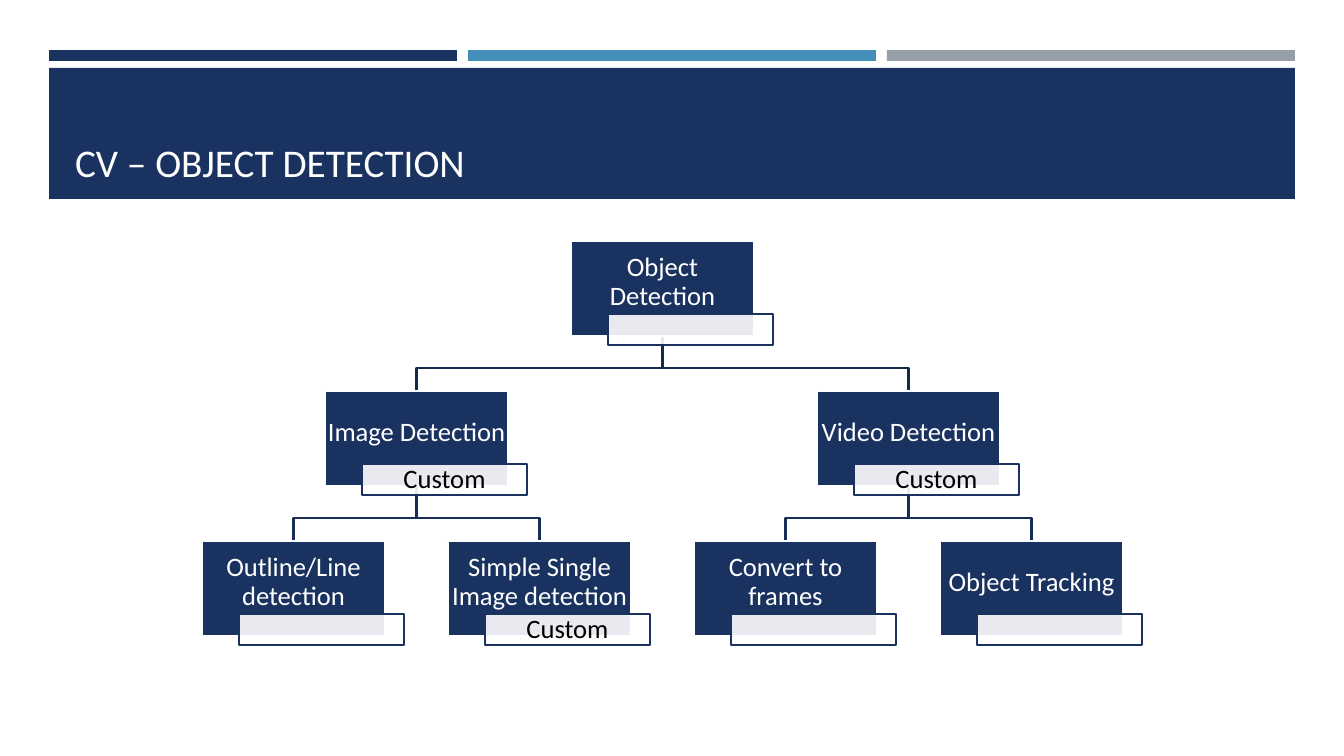
import pptx
import pptx.util
import pptx.dml.color
import pptx.enum.shapes
import pptx.enum.text
import pptx.oxml.ns
from lxml import etree

PX = 914400 / 100.8
NAVY, BLUE, GREY, WHITE, BLACK = "1A3260", "4590B8", "969FA7", "FFFFFF", "000000"
ROOT_LINE, BRANCH_LINE = "15284D", "182D57"
LINE_WIDTH = 1.75

BOX_W, BOX_H = 183, 95
TAG_DX, TAG_DY, TAG_W, TAG_H = 37, 73, 165, 31
LEAF_PITCH, LEVEL_PITCH = 246, 150
ELBOW_DROP = 32

# Each node: name, tag text, children
TREE = ("Object Detection", "", [
    ("Image Detection", "Custom", [
        ("Outline/Line detection", "", []),
        ("Simple Single Image detection", "Custom", []),
    ]),
    ("Video Detection", "Custom", [
        ("Convert to frames", "", []),
        ("Object Tracking", "", []),
    ]),
])


def px(n):
    return pptx.util.Emu(round(n * PX))


def rgb(color):
    return pptx.dml.color.RGBColor.from_string(color)


def add_rect(slide, x, y, w, h, fill, line=None, alpha=None):
    sp = slide.shapes.add_shape(pptx.enum.shapes.MSO_SHAPE.RECTANGLE,
                                px(x), px(y), px(w), px(h))
    sp.shadow.inherit = False
    sp.fill.solid()
    sp.fill.fore_color.rgb = rgb(fill)
    if alpha is not None:
        clr = sp.fill._xPr.find(".//" + pptx.oxml.ns.qn("a:srgbClr"))
        etree.SubElement(clr, pptx.oxml.ns.qn("a:alpha"), val=str(alpha * 1000))
    if line:
        sp.line.color.rgb = rgb(line)
        sp.line.width = pptx.util.Pt(LINE_WIDTH)
    else:
        sp.line.fill.background()
    return sp


def write(sp, text, size, color, anchor, align, insets, spacing=None):
    """Put text in a shape; insets are left, top, right, bottom in px."""
    tf = sp.text_frame
    tf.text = text
    tf.word_wrap = True
    tf.vertical_anchor = anchor
    tf.margin_left, tf.margin_top, tf.margin_right, tf.margin_bottom = map(px, insets)
    p = tf.paragraphs[0]
    p.alignment = align
    if spacing:
        p.line_spacing = spacing
    font = p.runs[0].font
    font.name, font.size = "Calibri", pptx.util.Pt(size)
    font.color.rgb = rgb(color)


def add_header(slide, x, y, w, title):
    bar_w = 408
    pitch = (w - bar_w) // 2
    for i, color in enumerate((NAVY, BLUE, GREY)):
        add_rect(slide, x + i * pitch, y, bar_w, 11, color)
    add_rect(slide, x, y + 18, w, 131, NAVY)
    tb = slide.shapes.add_textbox(px(x + 16), px(y + 28), px(w - 30), px(112))
    write(tb, title, 28, WHITE, pptx.enum.text.MSO_ANCHOR.BOTTOM,
          pptx.enum.text.PP_ALIGN.LEFT, (10, 5, 10, 5))


def add_elbow(slide, x1, y1, x2, y2, color):
    mid = y1 + ELBOW_DROP
    fb = slide.shapes.build_freeform(px(x1), px(y1))
    fb.add_line_segments([(px(x1), px(mid)), (px(x2), px(mid)), (px(x2), px(y2))],
                         close=False)
    sp = fb.convert_to_shape()
    sp.shadow.inherit = False
    sp.fill.background()
    sp.line.color.rgb = rgb(color)
    sp.line.width = pptx.util.Pt(LINE_WIDTH)


def add_node(slide, x, y, name, tag):
    middle = pptx.enum.text.MSO_ANCHOR.MIDDLE
    center = pptx.enum.text.PP_ALIGN.CENTER
    box = add_rect(slide, x, y, BOX_W, BOX_H, NAVY, WHITE)
    write(box, name, 19, WHITE, middle, center, (1, 1, 1, 13), 0.9)
    label = add_rect(slide, x + TAG_DX, y + TAG_DY, TAG_W, TAG_H, WHITE, NAVY, 90)
    if tag:
        write(label, tag, 19, BLACK, middle, center, (5, 1, 5, 1), 0.9)


def add_tree(slide, x, y, root):
    """Space the leaves evenly and centre each parent over its children."""
    nodes, links = [], []
    leaf_count = 0

    def place(node, level):
        nonlocal leaf_count
        name, tag, children = node
        top = y + level * LEVEL_PITCH
        if children:
            lefts = [place(child, level + 1) for child in children]
            left = (lefts[0] + lefts[-1]) / 2
            color = BRANCH_LINE if level else ROOT_LINE
            half = BOX_W / 2
            links.extend((left + half, top + BOX_H, child + half, top + LEVEL_PITCH, color)
                         for child in lefts)
        else:
            left = x + leaf_count * LEAF_PITCH
            leaf_count += 1
        nodes.append((left, top, name, tag))
        return left

    place(root, 0)
    for link in links:
        add_elbow(slide, *link)
    for node in nodes:
        add_node(slide, *node)


def main():
    prs = pptx.Presentation()
    prs.slide_width, prs.slide_height = px(1344), px(756)
    slide = prs.slides.add_slide(prs.slide_layouts[6])
    add_header(slide, 49, 50, 1246, "CV – OBJECT DETECTION")
    add_tree(slide, 202, 241, TREE)
    prs.save("out.pptx")


if __name__ == "__main__":
    main()
